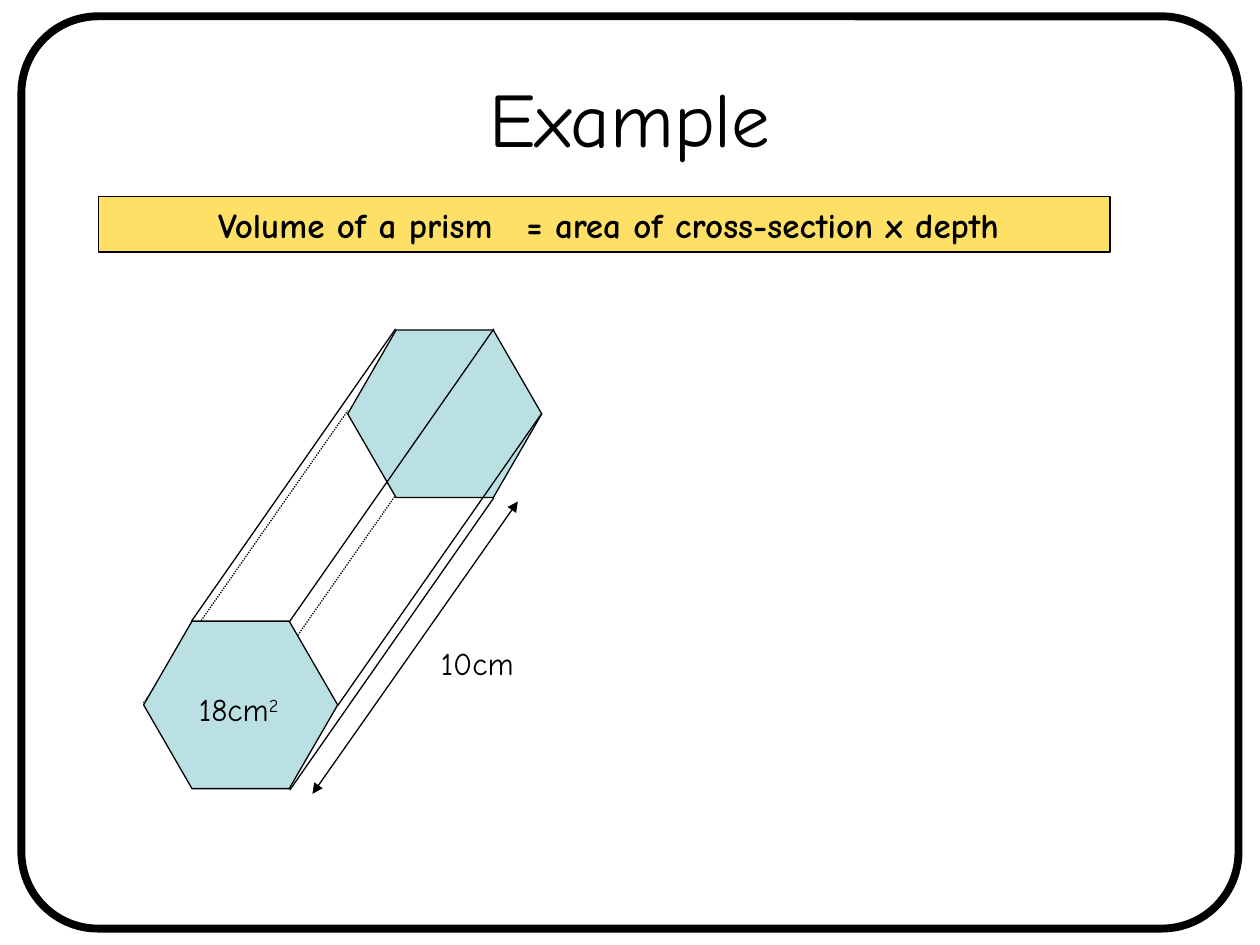
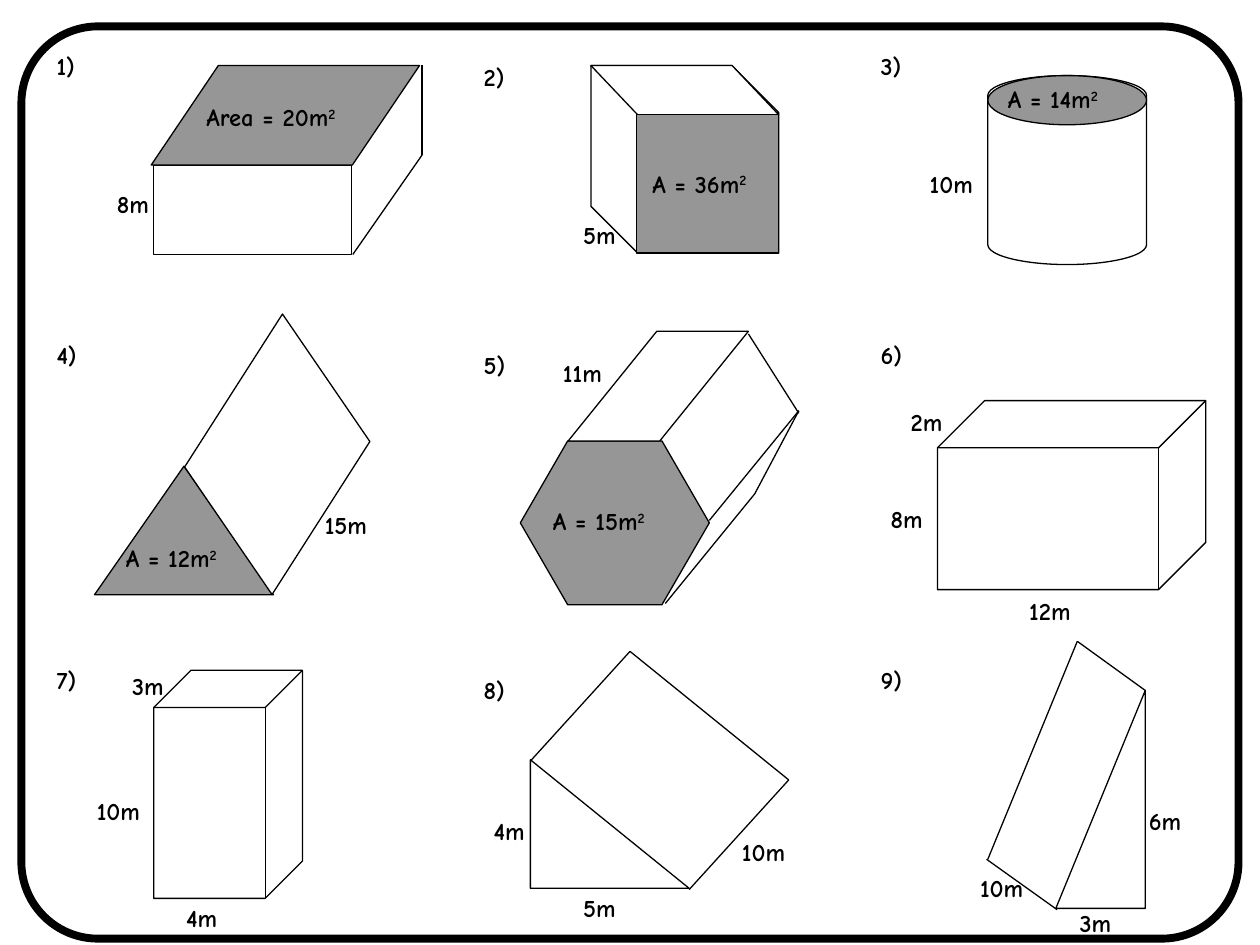
from lxml.etree import SubElement
from pptx import Presentation
from pptx.dml.color import RGBColor
from pptx.enum.dml import MSO_LINE
from pptx.enum.shapes import MSO_CONNECTOR, MSO_SHAPE
from pptx.enum.text import MSO_ANCHOR, PP_ALIGN
from pptx.oxml.ns import qn
from pptx.util import Emu, Pt

SCALE = 9144  # 100 px to the inch
BLACK, WHITE, GREY = "000000", "FFFFFF", "969696"
TEAL, GOLD = "BBE0E3", "FFCC00"
FACE = "Comic Neue"
TITLE_ONLY, BLANK = 5, 6
HEX = 0.289


def px(*sizes):
    return [Emu(size * SCALE) for size in sizes]


def tint(colour, code):
    colour.rgb = RGBColor.from_string(code)


def style(run, size, bold=False):
    for name, value in {"name": FACE, "size": Pt(size), "bold": bold}.items():
        setattr(run.font, name, value)
    tint(run.font.color, BLACK)


def ink(line, width=0.75):
    tint(line.color, BLACK)
    line.width = Pt(width)


def shape(shapes, kind, box, fill=None, adj=None, turn=0, flip=False, width=0.75):
    item = shapes.add_shape(kind, *px(*box))
    item.shadow.inherit = False
    if fill:
        item.fill.solid()
        tint(item.fill.fore_color, fill)
    else:
        item.fill.background()
    ink(item.line, width)
    if adj is not None:
        item.adjustments[0] = adj
    item.rotation = turn
    if flip:
        item._element.spPr.xfrm.set("flipH", "1")
    return item


def fade(item, percent):
    """Make a solid fill partly see-through."""
    colour = item._element.spPr.find(qn("a:solidFill"))[0]
    SubElement(colour, qn("a:alpha")).set("val", str(percent * 1000))


def line(shapes, start, end, dots=False, heads=False):
    item = shapes.add_connector(MSO_CONNECTOR.STRAIGHT, *px(*start, *end))
    ink(item.line)
    if dots:
        item.line.dash_style = MSO_LINE.ROUND_DOT
    if heads:
        for tag in ("a:headEnd", "a:tailEnd"):
            SubElement(item.line._get_or_add_ln(), qn(tag)).set("type", "triangle")
    SubElement(item._element.spPr, qn("a:effectLst"))


def label(shapes, words, x, y, wide=87, high=34, size=14, bold=True):
    """Add a text box; a ² in the words becomes a raised 2."""
    frame = shapes.add_textbox(*px(x, y, wide, high)).text_frame
    frame.word_wrap = True
    para = frame.paragraphs[0]
    base, power, _ = words.partition("²")
    style(add_run(para, base), size, bold)
    if power:
        run = add_run(para, "2")
        style(run, size, bold)
        run._r.get_or_add_rPr().set("baseline", "30000")


def add_run(para, words):
    run = para.add_run()
    run.text = words
    return run


def border(slide, top):
    shape(slide.shapes, MSO_SHAPE.ROUNDED_RECTANGLE, (17, top, 966, 724),
          adj=0.084, width=4.5)


def title(slide, words):
    item = slide.shapes.title
    item.left, item.top, item.width, item.height = px(50, 30, 900, 125)
    frame = item.text_frame
    frame.vertical_anchor = MSO_ANCHOR.MIDDLE
    para = frame.paragraphs[0]
    para.alignment = PP_ALIGN.CENTER
    style(add_run(para, words), 44)


def banner(shapes):
    item = shape(shapes, MSO_SHAPE.RECTANGLE, (78, 156, 803, 44), GOLD)
    fade(item, 60)
    frame = item.text_frame
    frame.word_wrap = True
    frame.margin_left = px(17)[0]
    para = frame.paragraphs[0]
    para.alignment = PP_ALIGN.CENTER
    for words in ("Volume of a prism", " ", "= area of cross-section x depth"):
        run = add_run(para, words)
        style(run, 20, True)
        if words == " ":
            run._r.get_or_add_rPr().set("spc", "1200")


def example(slide):
    shapes = slide.shapes
    title(slide, "Example")
    for x, y in ((114, 558), (152, 625)):
        line(shapes, (x, y), (x + 162, y - 232), dots=True)
    for x, y in ((276, 262), (114, 493)):
        shape(shapes, MSO_SHAPE.HEXAGON, (x, y, 154, 133), TEAL, HEX)
    for x, y in ((152, 493), (230, 493), (268, 560), (230, 627)):
        line(shapes, (x, y), (x + 162, y - 232))
    banner(shapes)
    label(shapes, "18cm²", 148, 543, 97, 40, 18, False)
    line(shapes, (248, 630), (411, 398), heads=True)
    label(shapes, "10cm", 340, 506, 97, 40, 18, False)
    border(slide, 13)


def boxes(shapes):
    """Draw solids 1, 2, 6 and 7."""
    shape(shapes, MSO_SHAPE.RECTANGLE, (122, 131, 157, 71), WHITE)
    shape(shapes, MSO_SHAPE.PARALLELOGRAM, (120, 52, 213, 79), GREY, 0.675)
    line(shapes, (335, 52), (335, 123))
    line(shapes, (335, 123), (280, 202))
    shape(shapes, MSO_SHAPE.CUBE, (469, 52, 149, 149), WHITE, 0.25, turn=270)
    shape(shapes, MSO_SHAPE.PARALLELOGRAM, (469, 52, 149, 39), WHITE, 0.948, flip=True)
    shape(shapes, MSO_SHAPE.RECTANGLE, (505, 91, 113, 110), GREY)
    for box in ((744, 318, 213, 150), (122, 532, 118, 181)):
        shape(shapes, MSO_SHAPE.CUBE, box, adj=0.25)


def drum(shapes):
    shape(shapes, MSO_SHAPE.CAN, (784, 60, 126, 150), WHITE, 0.25)
    shape(shapes, MSO_SHAPE.OVAL, (784, 60, 126, 39), GREY)


def wedges(shapes):
    """Draw solids 4, 8 and 9."""
    shape(shapes, MSO_SHAPE.ISOSCELES_TRIANGLE, (75, 370, 142, 102), GREY)
    shape(shapes, MSO_SHAPE.PARALLELOGRAM, (124, 304, 192, 113), WHITE, 0.424, turn=122.6)
    shape(shapes, MSO_SHAPE.RIGHT_TRIANGLE, (421, 603, 126, 102))
    shape(shapes, MSO_SHAPE.RIGHT_TRIANGLE, (838, 548, 71, 173), flip=True)
    for start, end in (((500, 517), (626, 619)), ((421, 604), (500, 517)),
                       ((547, 706), (626, 619)), ((855, 509), (784, 682)),
                       ((909, 548), (855, 509)), ((839, 722), (783, 682))):
        line(shapes, start, end)


def hexes(shapes):
    """Draw solid 5 as one group."""
    group = shapes.add_group_shape().shapes
    shape(group, MSO_SHAPE.HEXAGON, (413, 350, 150, 130), GREY, HEX)
    shape(group, MSO_SHAPE.PARALLELOGRAM, (451, 263, 143, 87), WHITE, 0.808)
    for start, end in (((563, 413), (634, 326)), ((528, 479), (599, 392)),
                       ((634, 326), (599, 392)), ((634, 328), (594, 265))):
        line(group, start, end)
    label(group, "A = 15m²", 429, 397, 142)
    label(group, "11m", 437, 279)


def sizes(shapes):
    for words, x, y in (("Area = 20m²", 154, 76), ("A = 36m²", 508, 129),
                        ("A = 14m²", 790, 62), ("A = 12m²", 90, 426)):
        label(shapes, words, x, y, 142)
    for words, x, y in (("8m", 83, 145), ("5m", 453, 170), ("10m", 728, 129),
                        ("15m", 248, 400), ("12m", 807, 468), ("8m", 697, 395),
                        ("2m", 713, 318), ("4m", 138, 712), ("10m", 67, 627),
                        ("3m", 95, 528), ("5m", 453, 704), ("4m", 382, 643),
                        ("10m", 579, 659), ("3m", 847, 716), ("6m", 902, 635),
                        ("10m", 768, 688)):
        label(shapes, words, x, y)


def numbers(shapes):
    """Number the 3 by 3 grid; the middle column sits a little lower."""
    for row, y in enumerate((36, 265, 523)):
        for col, (x, drop) in enumerate(((35, 0), (374, 8), (689, 0))):
            label(shapes, f"{row * 3 + col + 1})", x, y + drop, 79)


def tasks(slide):
    for draw in (boxes, drum, wedges, hexes, sizes, numbers):
        draw(slide.shapes)
    border(slide, 21)


def main():
    deck = Presentation()
    deck.slide_width, deck.slide_height = px(1000, 750)
    for layout, build in ((TITLE_ONLY, example), (BLANK, tasks)):
        build(deck.slides.add_slide(deck.slide_layouts[layout]))
    deck.save("out.pptx")


if __name__ == "__main__":
    main()
